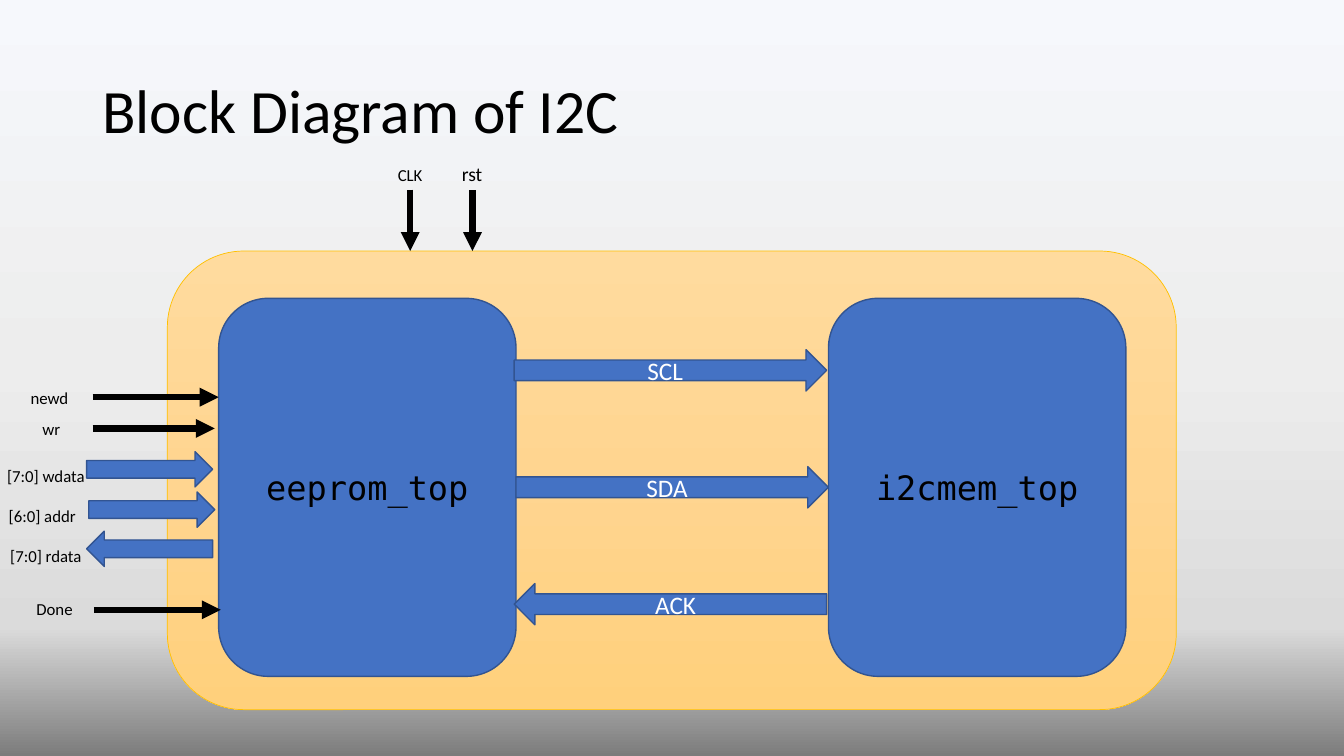
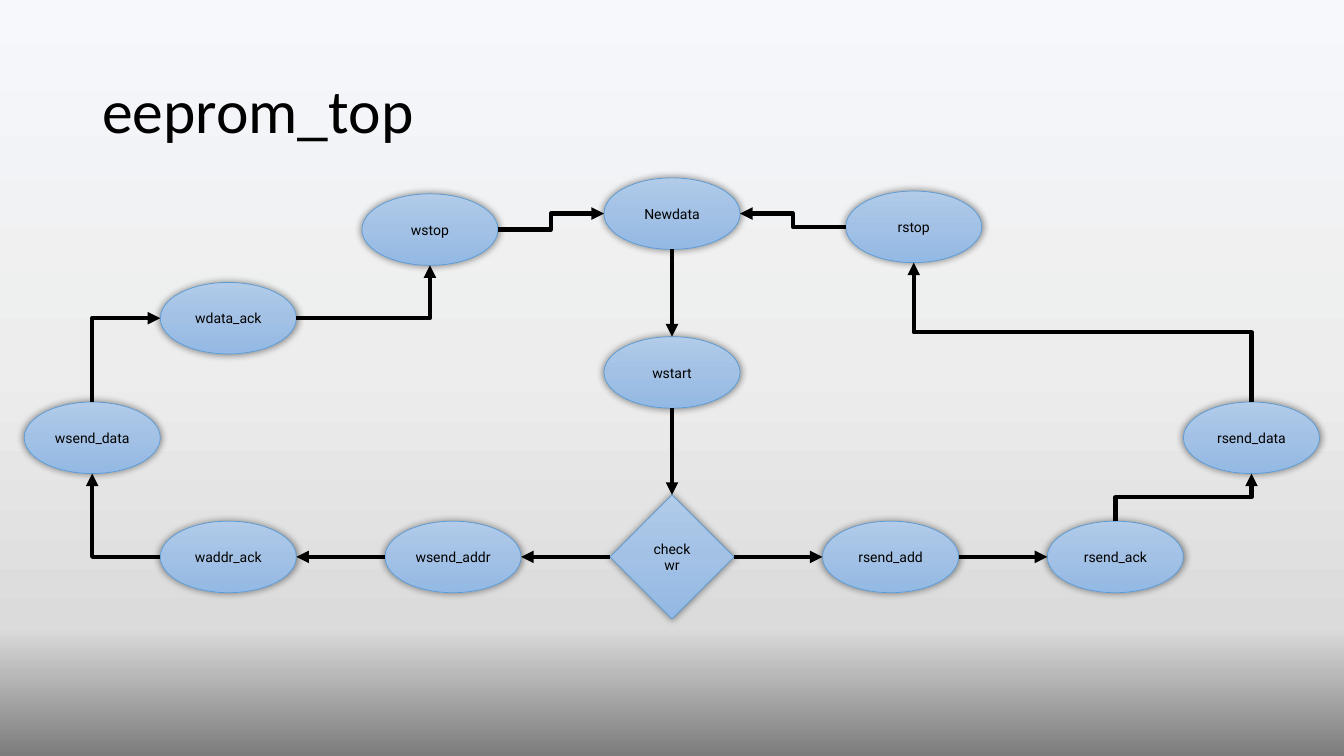
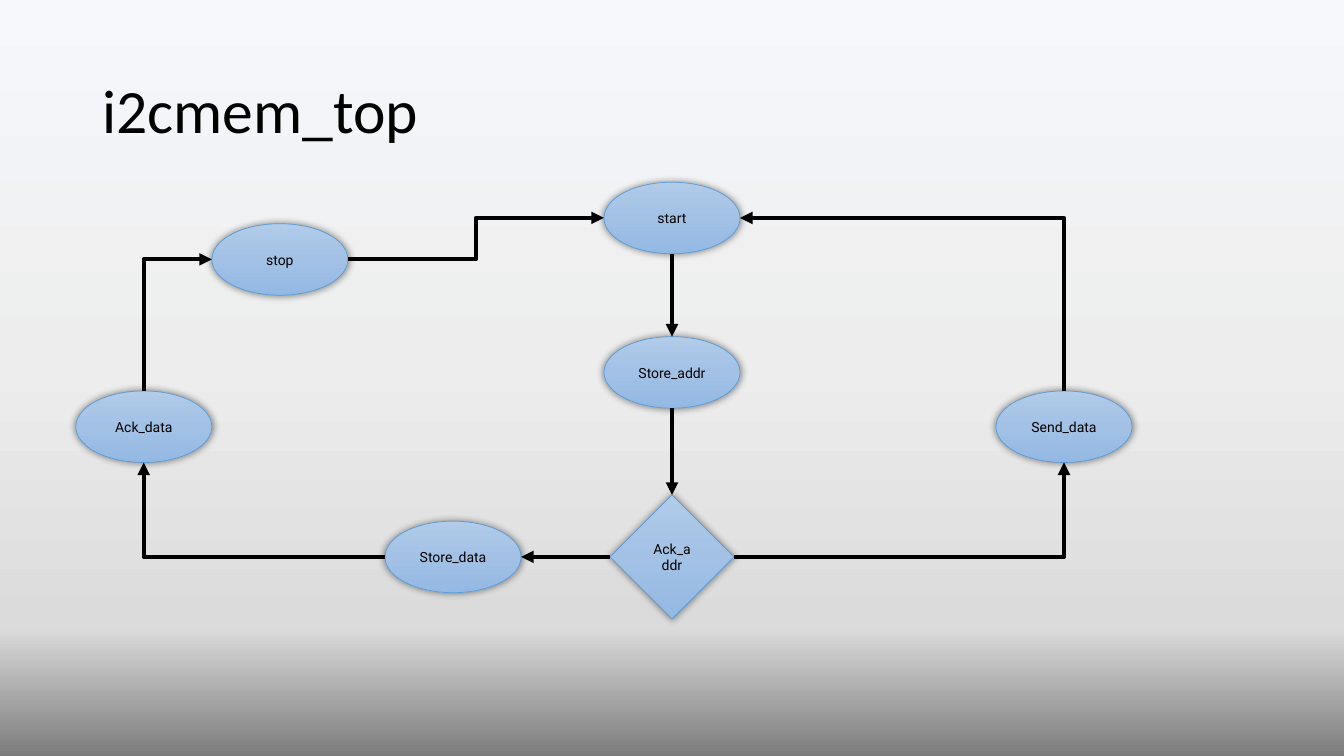
from dataclasses import dataclass

from lxml.etree import SubElement as sub
from pptx import Presentation
from pptx.dml.color import RGBColor as Rgb
from pptx.enum.shapes import MSO_CONNECTOR as Link, MSO_SHAPE as Kind
from pptx.enum.text import MSO_ANCHOR as Anchor, PP_ALIGN as Align
from pptx.oxml.ns import qn
from pptx.util import Pt


@dataclass(frozen=True)
class Theme:
    """Colours, fonts and sizes shared by the slides."""
    back = ((0, "F6F8FC"), (48, "EDEDED"), (83, "DBDBDB"), (100, "7C7C7C"))
    frame = ((0, "FFDB9E"), (50, "FFD590"), (100, "FFD07C"))
    node = ((0, "B1CBE9"), (50, "A3C1E5"), (100, "93B9E4"))
    block, edge = "4472C4", "325491"
    gold, sky = "FFC000", "5B9BD5"
    ink, white = "000000", "FFFFFF"
    sans, mono, flow = "Calibri", "DejaVu Sans Mono", "Roboto"
    title, name, bus, label, state = 44, 24, 18, 12, 10
    thin, fine, wire, path_w = 0.5, 1, 4.5, 3


T = Theme()
SIZE = (960, 540)
TITLE = (66, 28.8, 828, 104.4)

# Block diagram: boxes are left, top, width, height
FRAME = (119.5, 179.3, 720.7, 327.6)
BLOCKS = [("eeprom_top", 156.2), ("i2cmem_top", 591.8)]
BLOCK_TOP, BLOCK_W, BLOCK_H = 213.1, 212.4, 270
BUSES = [("SCL", 367.3, Kind.RIGHT_ARROW), ("SDA", 368.6, Kind.RIGHT_ARROW),
         ("ACK", 367.3, Kind.LEFT_ARROW)]
BUS_TOP, BUS_STEP, BUS_W, BUS_H = 249.8, 83.5, 223.2, 29.5
PORTS = [(61.9, 322.6, Kind.RIGHT_ARROW), (63.4, 351.4, Kind.RIGHT_ARROW),
         (61.9, 379.4, Kind.LEFT_ARROW)]
PORT_W, PORT_H = 90, 25.2
# Wires: start, end
WIRES = [((66.2, 283.7), (156.2, 283.7)), ((66.2, 306), (153.4, 306)),
         ((67, 435.6), (157.7, 435.6)),
         ((293, 135.4), (293, 179.3)), ((337.5, 136), (337.5, 179.3))]
# Labels: text, centre x, centre y, width, size
LABELS = [("CLK", 293, 124.6, 36, 12), ("rst", 337.2, 123.8, 36, 14),
          ("newd", 35.3, 284, 56, 12), ("wr", 36.7, 306, 36, 12),
          ("[7:0] wdata", 32.8, 339.8, 80, 12),
          ("[6:0] addr", 30.2, 368.6, 63.4, 12),
          ("[7:0] rdata", 32.8, 396.7, 67, 12), ("Done", 38.9, 434.9, 56, 12)]
LABEL_H = 21.8

# State charts: centre of each state, then links as "from side to side"
OVAL, GEM = (97.2, 51.1), (88.6, 88.6)
MID, BASE = 480, 397.8
CHARTS = [
    ("eeprom_top", "checkwr",
     {"Newdata": (MID, 152.6), "wstart": (MID, 266), "checkwr": (MID, BASE),
      "wsend_addr": (323.6, BASE), "waddr_ack": (163.1, BASE),
      "wsend_data": (65.9, 312.7), "wdata_ack": (163.1, 227.3),
      "wstop": (307.1, 164), "rsend_ack": (796.7, BASE),
      "rsend_add": (636.1, BASE), "rsend_data": (893.9, 312.7),
      "rstop": (652.7, 162)},
     ["Newdata b wstart t", "wstart b checkwr t", "checkwr l wsend_addr r",
      "wsend_addr l waddr_ack r", "waddr_ack l wsend_data b",
      "wsend_data t wdata_ack l", "wdata_ack r wstop b",
      "wstop r Newdata l", "checkwr r rsend_add l",
      "rsend_add r rsend_ack l", "rsend_ack t rsend_data b",
      "rsend_data t rstop b", "rstop l Newdata r"]),
    ("i2cmem_top", "Ack_addr",
     {"start": (MID, 155.7), "Store_addr": (MID, 266),
      "Ack_addr": (MID, BASE), "Store_data": (323.6, BASE),
      "Ack_data": (102.7, 304.8), "stop": (199.9, 185.3),
      "Send_data": (760, 304.8)},
     ["start b Store_addr t", "Store_addr b Ack_addr t",
      "Ack_addr l Store_data r", "Store_data l Ack_data b",
      "stop r start l", "Ack_addr r Send_data b", "Send_data t start r",
      "Ack_data t stop l"]),
]
SIDES = {"l": (-0.5, 0), "r": (0.5, 0), "t": (0, -0.5), "b": (0, 0.5)}


def pts(*nums):
    """Turn numbers into lengths in points."""
    return [Pt(n) for n in nums]


def shade(fill, root, stops):
    """Give a fill a top to bottom gradient."""
    fill.gradient()
    fill.gradient_angle = 270
    ramp = next(root.iter(qn("a:gsLst")))
    for old in list(ramp):
        ramp.remove(old)
    for pos, tone in stops:
        stop = sub(ramp, qn("a:gs"), pos=str(pos * 1000))
        sub(stop, qn("a:srgbClr"), val=tone)


def write(shape, text, size=12, font=T.sans, color=T.ink, align=Align.CENTER,
          lead=None):
    """Put formatted text, centred in height, in a shape."""
    frame = shape.text_frame
    frame.word_wrap = True
    frame.vertical_anchor = Anchor.MIDDLE
    para = frame.paragraphs[0]
    para.alignment = align
    para.line_spacing = lead
    run = para.add_run()
    run.text = text
    run.font.size = Pt(size)
    run.font.name = font
    run.font.color.rgb = Rgb.from_string(color)


def note(slide, box, text, **style):
    """Add a text box."""
    write(slide.shapes.add_textbox(*pts(*box)), text, **style)


def draw(slide, kind, box, fill=T.block, edge=T.edge, width=T.fine):
    """Add a preset shape with a plain or gradient fill."""
    shape = slide.shapes.add_shape(kind, *pts(*box))
    shape.shadow.inherit = False
    if isinstance(fill, str):
        shape.fill.solid()
        shape.fill.fore_color.rgb = Rgb.from_string(fill)
    else:
        shade(shape.fill, shape._element, fill)
    shape.line.color.rgb = Rgb.from_string(edge)
    shape.line.width = Pt(width)
    return shape


def halo(shape):
    """Give a shape a soft shadow on all sides."""
    effect = next(shape._element.iter(qn("a:effectLst")))
    soft = sub(effect, qn("a:outerShdw"), blurRad="63500", sx="102000",
               sy="102000", algn="ctr", rotWithShape="0")
    tone = sub(soft, qn("a:srgbClr"), val=T.ink)
    sub(tone, qn("a:alpha"), val="40000")


def arrow(slide, start, end, width, kind=Link.STRAIGHT):
    """Add a connector with an arrowhead at its end."""
    line = slide.shapes.add_connector(kind, *pts(*start, *end))
    line.line.color.rgb = Rgb.from_string(T.ink)
    line.line.width = Pt(width)
    props = line._element.spPr
    sub(props.find(qn("a:ln")), qn("a:tailEnd"), type="triangle")
    sub(props, qn("a:effectLst"))
    return line


def join(slide, start, out, end, into):
    """Link two points, with bends that suit the sides they lie on."""
    (x1, y1), (x2, y2) = start, end
    if x1 == x2 or y1 == y2:
        arrow(slide, start, end, T.path_w)
        return
    rise = out in "tb"
    if rise:  # a quarter turn makes the first leg vertical
        mx, my, dx, dy = (x1 + x2) / 2, (y1 + y2) / 2, x2 - x1, y2 - y1
        start = mx - dy / 2, my + dx / 2
        end = mx + dy / 2, my - dx / 2
    line = arrow(slide, start, end, T.path_w, Link.ELBOW)
    props = line._element.spPr
    if rise:
        props.find(qn("a:xfrm")).set("rot", "5400000")
    if rise != (into in "tb"):
        props.find(qn("a:prstGeom")).set("prst", "bentConnector2")


def page(deck, title):
    """Add a slide with its title."""
    slide = deck.slides.add_slide(deck.slide_layouts[6])
    note(slide, TITLE, title, size=T.title, align=Align.LEFT, lead=0.9)
    return slide


def blocks(deck):
    """Build the block diagram."""
    slide = page(deck, "Block Diagram of I2C")
    draw(slide, Kind.ROUNDED_RECTANGLE, FRAME, T.frame, T.gold, T.thin)
    for left, top, kind in PORTS:
        draw(slide, kind, (left, top, PORT_W, PORT_H))
    for text, x, y, width, size in LABELS:
        box = (x - width / 2, y - LABEL_H / 2, width, LABEL_H)
        note(slide, box, text, size=size)
    for text, left in BLOCKS:
        box = (left, BLOCK_TOP, BLOCK_W, BLOCK_H)
        shape = draw(slide, Kind.ROUNDED_RECTANGLE, box)
        write(shape, text, size=T.name, font=T.mono)
    for start, end in WIRES:
        arrow(slide, start, end, T.wire)
    for row, (text, left, kind) in enumerate(BUSES):
        box = (left, BUS_TOP + row * BUS_STEP, BUS_W, BUS_H)
        write(draw(slide, kind, box), text, size=T.bus, color=T.white)


def chart(deck, title, gem, states, links):
    """Build a state chart; the state named gem is a diamond."""
    slide = page(deck, title)
    sizes = {name: GEM if name == gem else OVAL for name in states}

    def spot(name, side):
        """Find the middle of one side of a state."""
        return tuple(mid + part * span for mid, part, span
                     in zip(states[name], SIDES[side], sizes[name]))

    for name, (x, y) in states.items():
        wide, high = sizes[name]
        kind = Kind.DIAMOND if name == gem else Kind.OVAL
        box = (x - wide / 2, y - high / 2, wide, high)
        shape = draw(slide, kind, box, T.node, T.sky, T.thin)
        halo(shape)
        write(shape, name, size=T.state, font=T.flow)
    for link in links:
        head, out, goal, into = link.split()
        join(slide, spot(head, out), out, spot(goal, into), into)


def main():
    """Build and save the deck."""
    deck = Presentation()
    deck.slide_width, deck.slide_height = pts(*SIZE)
    master = deck.slide_master
    shade(master.background.fill, master._element, T.back)
    blocks(deck)
    for data in CHARTS:
        chart(deck, *data)
    deck.save("out.pptx")


main()
